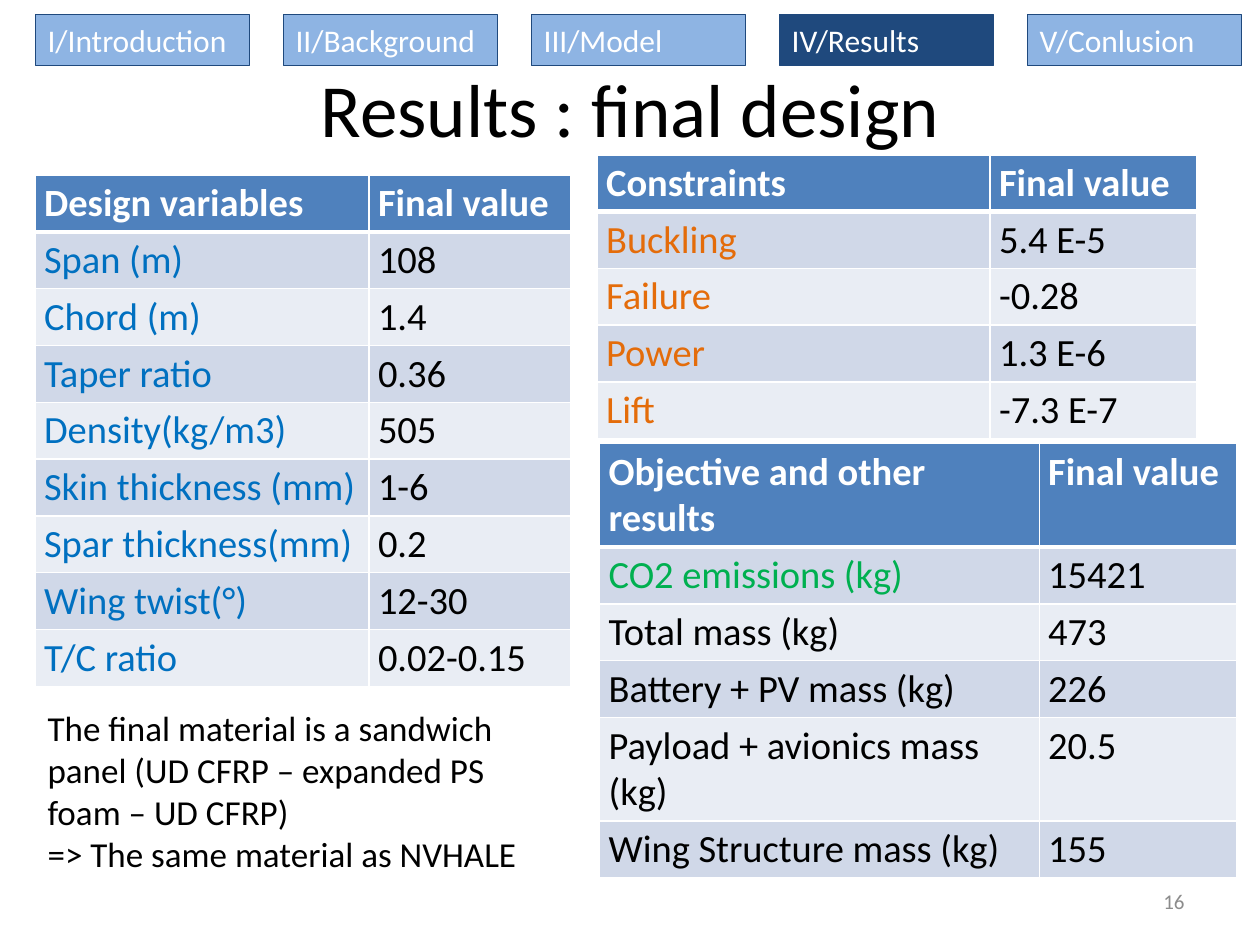
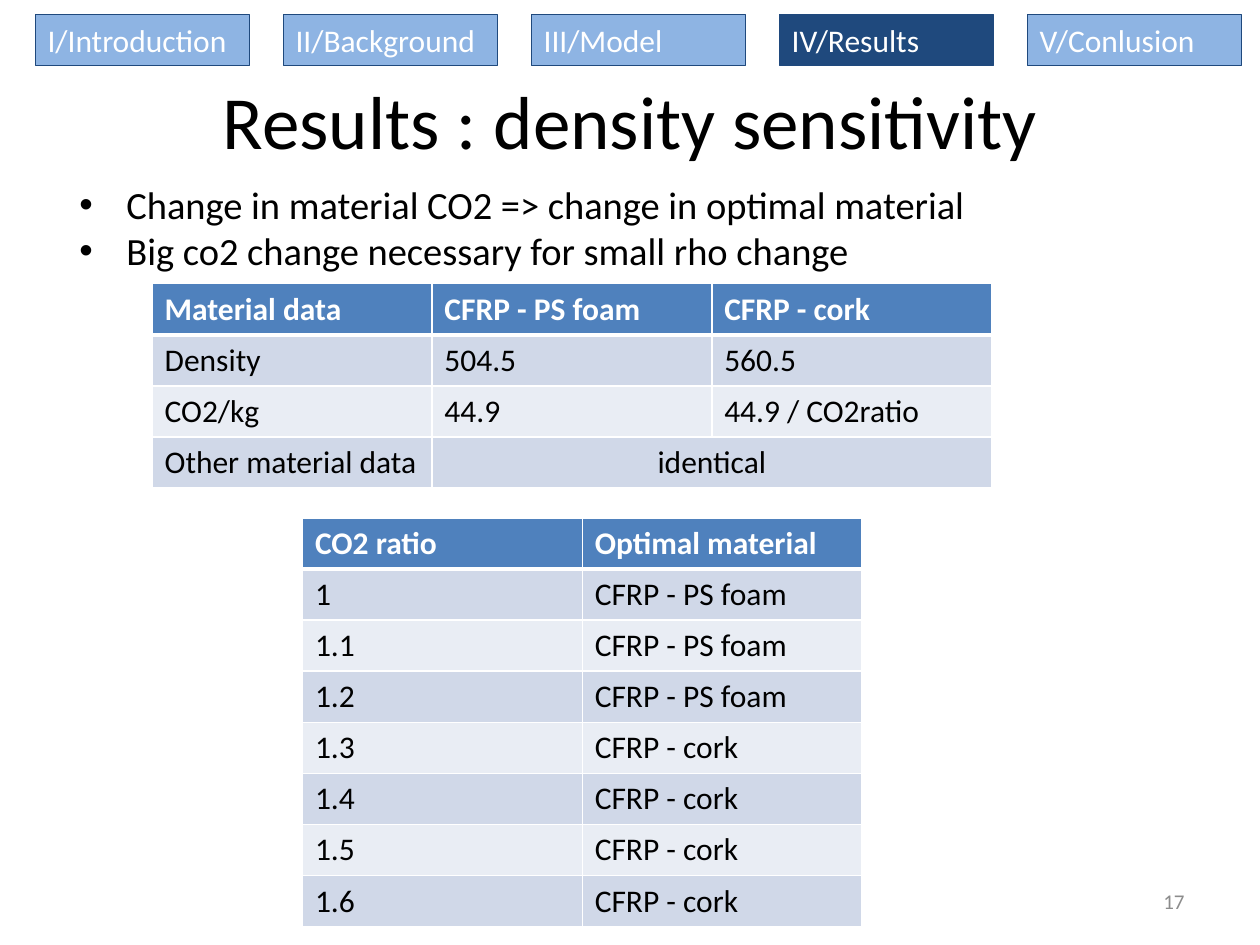
from lxml.etree import SubElement
from pptx import Presentation
from pptx.dml.color import RGBColor
from pptx.enum.shapes import MSO_SHAPE as Preset
from pptx.enum.text import MSO_ANCHOR as Anchor, MSO_AUTO_SIZE as AutoSize, PP_ALIGN as Align
from pptx.oxml.ns import qn
from pptx.util import Cm, Pt

FONT = "Calibri"
COLORS = {
    "black": "000000", "white": "FFFFFF", "page_number": "8C8C8C",
    "tab": "8EB4E3", "active_tab": "1F497D",
    "header": "4F81BD", "odd_row": "D0D8E8", "even_row": "E9EDF4",
    "variable": "0070C0", "constraint": "E46C0A", "objective": "00B050",
}
SECTIONS = ["I/Introduction", "II/Background", "III/Model", "IV/Results", "V/Conlusion"]

DESIGN_VARIABLES = [
    ("Design variables", "Final value"), ("Span (m)", "108"), ("Chord (m)", "1.4"),
    ("Taper ratio", "0.36"), ("Density(kg/m3)", "505"), ("Skin thickness (mm)", "1-6"),
    ("Spar thickness(mm)", "0.2"), ("Wing twist(°)", "12-30"), ("T/C ratio", "0.02-0.15"),
]
CONSTRAINTS = [
    ("Constraints", "Final value"), ("Buckling", "5.4 E-5"), ("Failure", "-0.28"),
    ("Power", "1.3 E-6"), ("Lift", "-7.3 E-7"),
]
OBJECTIVE = [
    ("Objective and other results", "Final value"), ("CO2 emissions (kg)", "15421"),
    ("Total mass (kg)", "473"), ("Battery + PV mass (kg)", "226"),
    ("Payload + avionics mass (kg)", "20.5"), ("Wing Structure mass (kg)", "155"),
]
MATERIAL_DATA = [
    ("Material data", "CFRP - PS foam", "CFRP - cork"), ("Density", "504.5", "560.5"),
    ("CO2/kg", "44.9", "44.9 / CO2ratio"), ("Other material data", "identical", ""),
]
OPTIMAL_MATERIAL = [("CO2 ratio", "Optimal material")] + [
    (ratio, "CFRP - PS foam" if ratio in ("1", "1.1", "1.2") else "CFRP - cork")
    for ratio in ("1", "1.1", "1.2", "1.3", "1.4", "1.5", "1.6")
]


def color(name):
    return RGBColor.from_string(COLORS[name])


def write(frame, text, size, ink="black", align=Align.LEFT, bold=False):
    """Fill a text frame, one paragraph per line of text."""
    frame.text = text
    for paragraph in frame.paragraphs:
        paragraph.alignment = align
        for run in paragraph.runs:
            run.font.name, run.font.size, run.font.bold = FONT, Pt(size), bold
            run.font.color.rgb = color(ink)


def add_text(slide, box, text, size, grow=False, anchor=Anchor.TOP, **style):
    frame = slide.shapes.add_textbox(*map(Cm, box)).text_frame
    frame.word_wrap = True
    frame.auto_size = AutoSize.SHAPE_TO_FIT_TEXT if grow else AutoSize.NONE
    frame.vertical_anchor = anchor
    write(frame, text, size, **style)
    return frame


def add_section_tabs(slide, box, active):
    """Spread the section tabs evenly over the box."""
    left, top, width, height = box
    tab_width = 4.32
    pitch = (width - tab_width) / (len(SECTIONS) - 1)
    for index, section in enumerate(SECTIONS):
        tab = slide.shapes.add_shape(Preset.RECTANGLE, Cm(left + index * pitch), Cm(top),
                                     Cm(tab_width), Cm(height))
        tab.shadow.inherit = False
        tab.fill.solid()
        tab.fill.fore_color.rgb = color("active_tab" if section == active else "tab")
        tab.line.color.rgb = color("active_tab")
        tab.line.width = Pt(0.75)
        tab.text_frame.word_wrap = True
        tab.text_frame.vertical_anchor = Anchor.TOP
        write(tab.text_frame, section, 18, "white")


def add_frame(slide, title, title_top, number):
    """Place the title, page number and section tabs every slide has."""
    add_text(slide, (1.27, title_top, 22.86, 3.18), title, 42.9, align=Align.CENTER)
    add_text(slide, (18.21, 17.65, 5.92, 1.02), str(number), 12, anchor=Anchor.MIDDLE,
             ink="page_number", align=Align.RIGHT)
    add_section_tabs(slide, (0.71, 0.3, 24.32, 1.02), "IV/Results")


def add_borders(cell, row):
    """Draw white borders, thicker between the header and the body."""
    thick_side = {0: "lnB", 1: "lnT"}.get(row)
    for side in ("lnL", "lnR", "lnT", "lnB"):
        width = Pt(3 if side == thick_side else 1)
        line = SubElement(cell._tc.get_or_add_tcPr(), qn(f"a:{side}"), w=str(width))
        fill = SubElement(line, qn("a:solidFill"))
        SubElement(fill, qn("a:srgbClr"), val=COLORS["white"])


def add_data_table(slide, corner, widths, heights, rows, size, padding, label_inks=None):
    """Add a banded table; label_inks maps a row to the colour of its first cell."""
    left, top = corner
    label_inks = label_inks or {}
    table = slide.shapes.add_table(len(rows), len(widths), Cm(left), Cm(top),
                                   Cm(sum(widths)), Cm(sum(heights))).table
    for column, width in zip(table.columns, widths):
        column.width = Cm(width)
    for r, (values, height) in enumerate(zip(rows, heights)):
        table.rows[r].height = Cm(height)
        band = "header" if r == 0 else "odd_row" if r % 2 else "even_row"
        for c, value in enumerate(values):
            cell = table.cell(r, c)
            cell.margin_left = cell.margin_right = Cm(padding[0])
            cell.margin_top = cell.margin_bottom = Cm(padding[1])
            add_borders(cell, r)
            cell.fill.solid()
            cell.fill.fore_color.rgb = color(band)
            ink = "white" if r == 0 else label_inks.get(r, "black") if c == 0 else "black"
            write(cell.text_frame, value, size, ink, bold=r == 0)
    return table


def add_bullets(slide, box, text):
    frame = add_text(slide, box, text, 22, grow=True)
    for paragraph in frame.paragraphs:
        properties = paragraph._p.get_or_add_pPr()
        properties.set("marL", str(Cm(0.95)))
        properties.set("indent", str(-Cm(0.95)))
        SubElement(properties, qn("a:buFont"), typeface="Arial")
        SubElement(properties, qn("a:buChar"), char="•")


def build_final_design(slide):
    line, two_lines = 1.12, 2.05
    style = {"size": 22, "padding": (0.18, 0.1)}
    add_data_table(slide, (0.71, 3.53), (6.73, 4.06), [line] * 9, DESIGN_VARIABLES,
                   label_inks=dict.fromkeys(range(1, 9), "variable"), **style)
    add_data_table(slide, (12.04, 3.12), (7.92, 4.17), [line] * 5, CONSTRAINTS,
                   label_inks=dict.fromkeys(range(1, 5), "constraint"), **style)
    add_data_table(slide, (12.09, 8.94), (8.86, 3.99),
                   [two_lines, line, line, line, two_lines, line], OBJECTIVE,
                   label_inks={1: "objective"}, **style)
    add_text(slide, (0.71, 14.12, 10.8, 3.68),
             "The final material is a sandwich panel (UD CFRP – expanded PS foam – UD CFRP)\n"
             "=> The same material as NVHALE", 20, grow=True)
    add_frame(slide, "Results : final design", 1.14, 16)


def build_density_sensitivity(slide):
    column, line = 5.64, 1.03
    style = {"size": 18, "padding": (0.25, 0.13)}
    add_bullets(slide, (1.35, 3.53, 20.78, 3.84),
                "Change in material CO2 => change in optimal material\n"
                "Big co2 change necessary for small rho change")
    add_frame(slide, "Results : density sensitivity", 1.37, 17)
    add_data_table(slide, (6.1, 10.44), [column] * 2, [line] * 8, OPTIMAL_MATERIAL, **style)
    material = add_data_table(slide, (3.07, 5.72), [column] * 3, [line] * 4,
                              MATERIAL_DATA, **style)
    shared_value = material.cell(3, 1)
    shared_value.merge(material.cell(3, 2))
    shared_value.text_frame.paragraphs[0].alignment = Align.CENTER


def main():
    deck = Presentation()
    deck.slide_width, deck.slide_height = Cm(25.4), Cm(19.05)
    for build in (build_final_design, build_density_sensitivity):
        build(deck.slides.add_slide(deck.slide_layouts[6]))
    deck.save("out.pptx")


if __name__ == "__main__":
    main()
